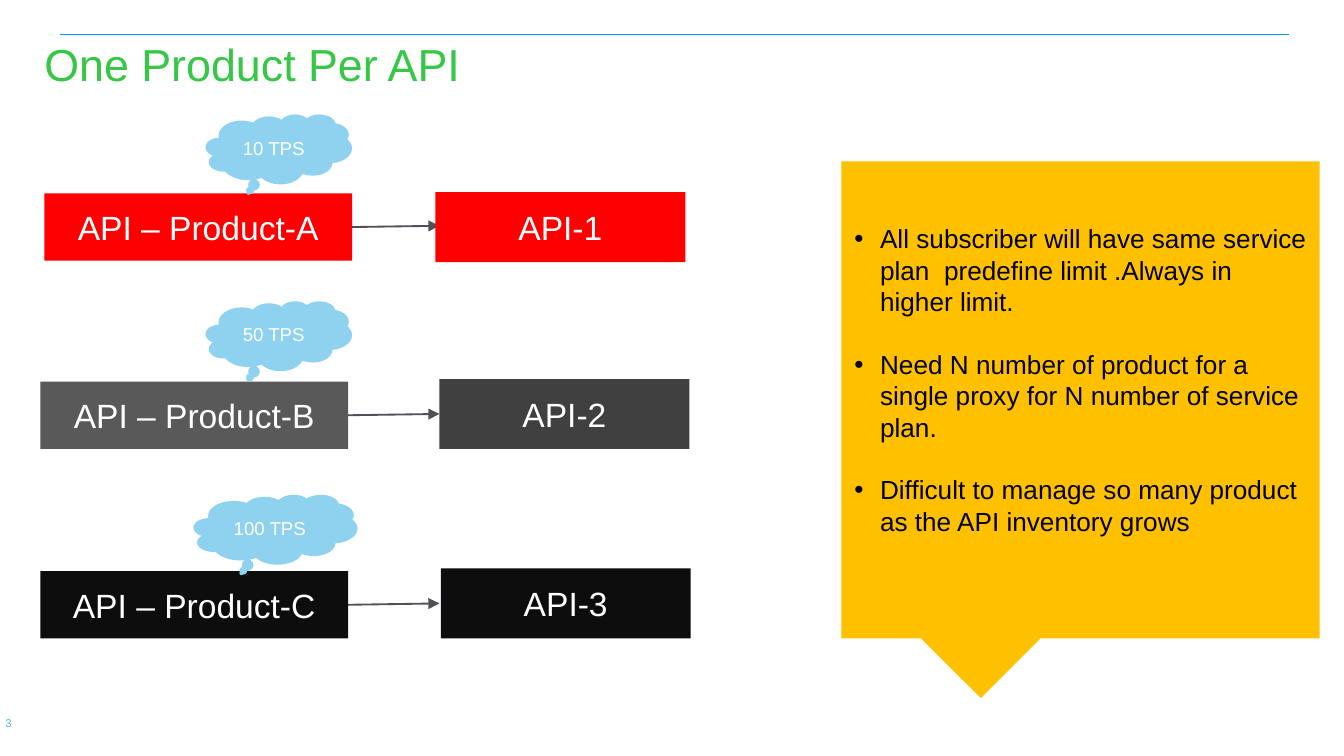
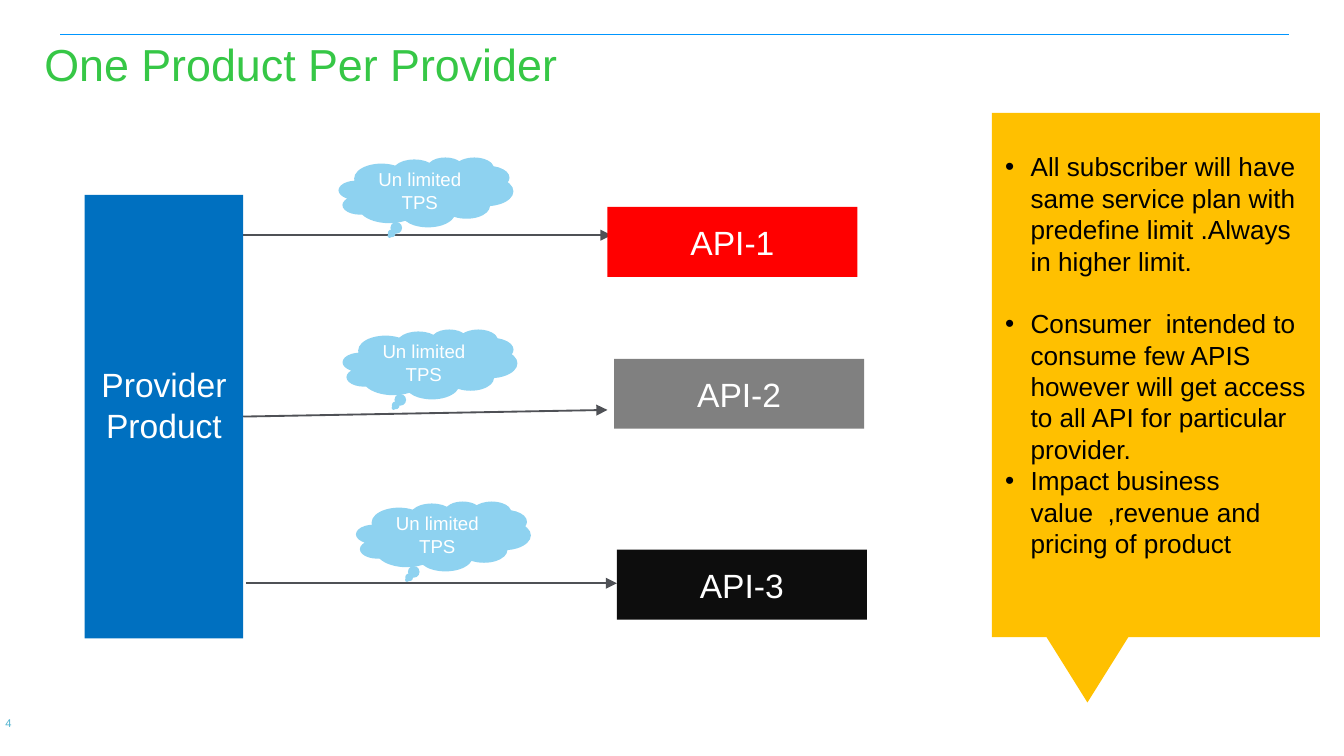
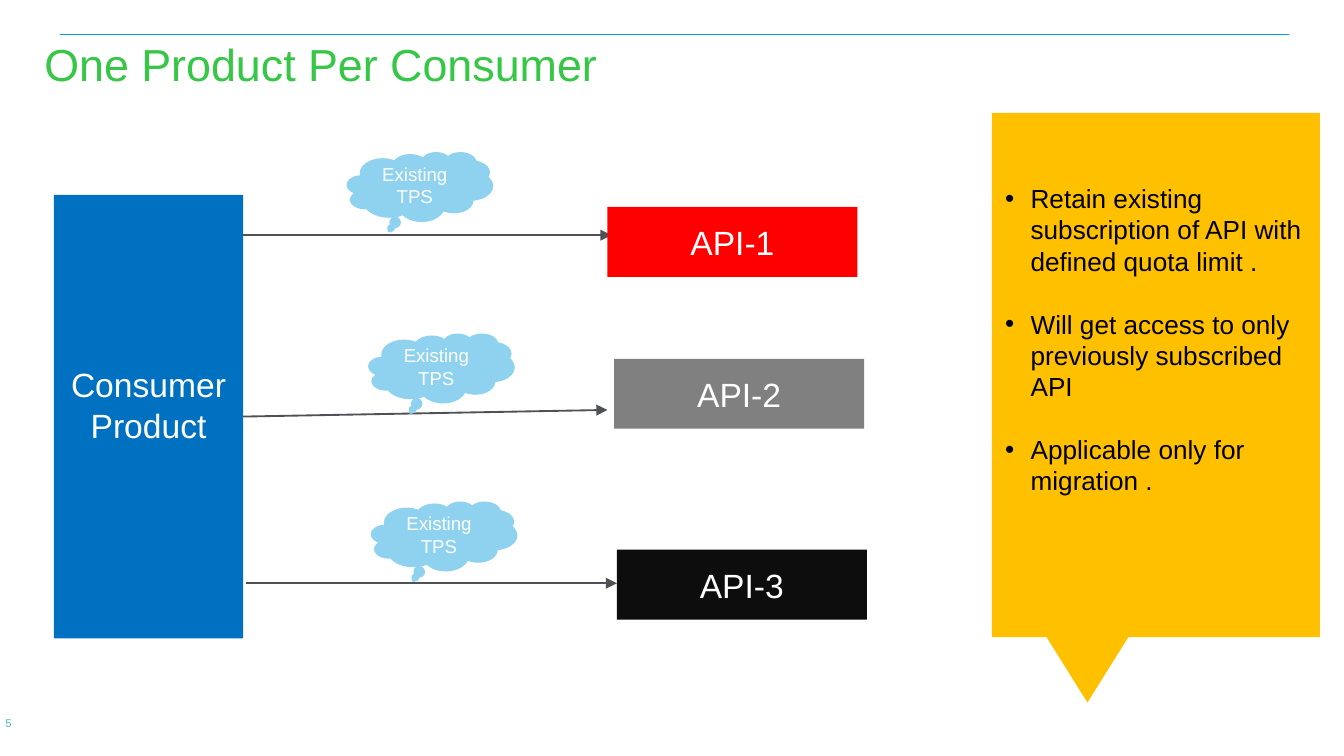
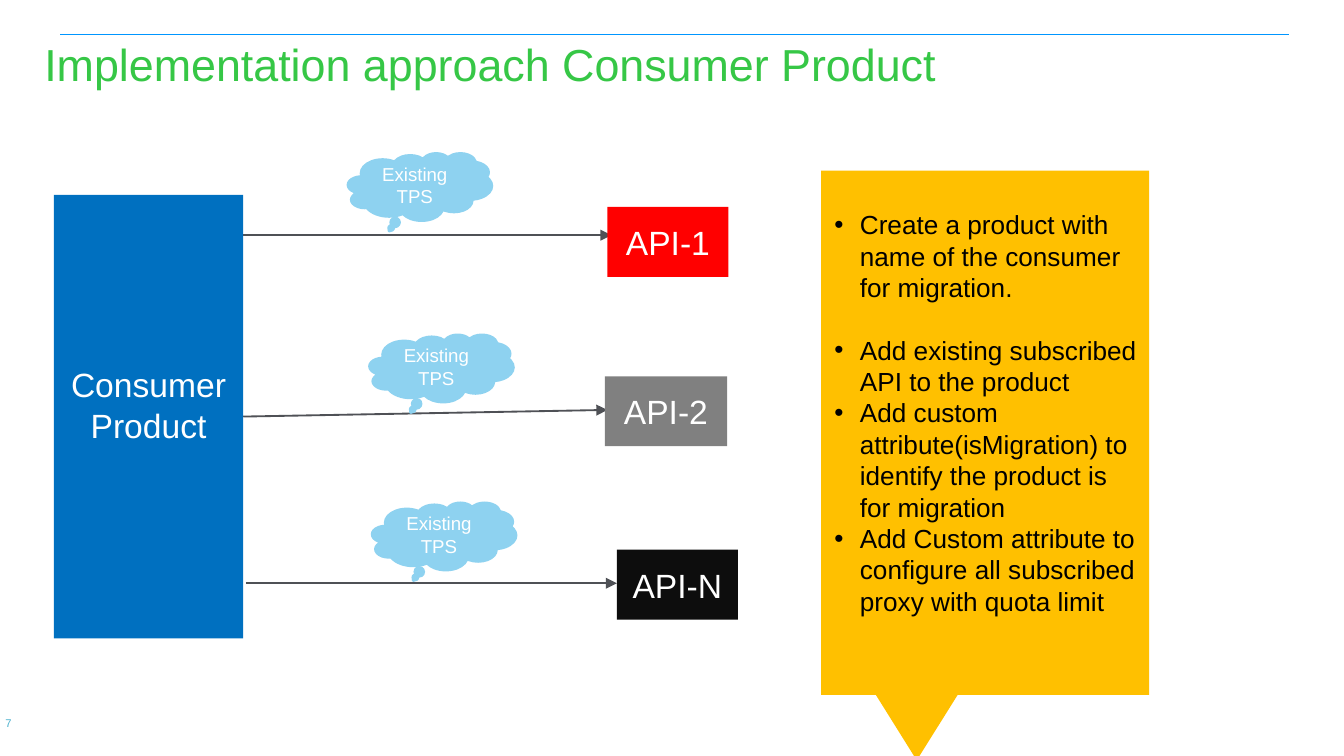
from typing import NamedTuple

from lxml import etree
from pptx import Presentation
from pptx.dml.color import RGBColor
from pptx.enum.shapes import MSO_CONNECTOR, MSO_SHAPE
from pptx.enum.text import MSO_ANCHOR, PP_ALIGN
from pptx.oxml.ns import qn
from pptx.util import Inches, Pt

RECTANGLE = MSO_SHAPE.RECTANGLE
CLOUD = MSO_SHAPE.CLOUD_CALLOUT
CALLOUT = MSO_SHAPE.RECTANGULAR_CALLOUT
STRAIGHT = MSO_CONNECTOR.STRAIGHT
TOP, MIDDLE = MSO_ANCHOR.TOP, MSO_ANCHOR.MIDDLE
LEFT, CENTER = PP_ALIGN.LEFT, PP_ALIGN.CENTER

FONT = "Arial"
WHITE, BLACK = "FFFFFF", "000000"
RULE_BLUE, TITLE_GREEN, NUMBER_BLUE = "0096FF", "36C746", "50B3CF"
RED, GRAY, NEAR_BLACK = "FF0000", "808080", "0D0D0D"
DARK_GRAY, DARKER_GRAY = "595959", "404040"
BLUE, SKY, AMBER, ARROW_GRAY = "0070C0", "8ED2F0", "FFC000", "4F5156"
BOX_HEIGHT = 0.52
NOTE_GAP = Pt(16.8)
NOTE_INDENT = Inches(0.19)


class Box(NamedTuple):
    """A region of the slide in inches."""
    left: float
    top: float
    width: float
    height: float

    def inner(self, left, top, width, height):
        """Return a box placed relative to this one."""
        return Box(self.left + left, self.top + top, width, height)

    def lengths(self):
        """Return the four sides as lengths."""
        return [Inches(side) for side in self]


def color(value):
    """Turn a hex string into a colour."""
    return RGBColor.from_string(value)


def write(shape, text, size, ink, align=LEFT, anchor=MIDDLE):
    """Put formatted text into a shape, one paragraph per line."""
    frame = shape.text_frame
    frame.text = text
    frame.word_wrap = True
    frame.vertical_anchor = anchor
    for paragraph in frame.paragraphs:
        paragraph.alignment = align
        for run in paragraph.runs:
            run.font.name = FONT
            run.font.size = Pt(size)
            run.font.color.rgb = color(ink)
    return frame


def add_filled(slide, preset, box, fill):
    """Add a flat shape without an outline."""
    shape = slide.shapes.add_shape(preset, *box.lengths())
    shape.shadow.inherit = False
    shape.fill.solid()
    shape.fill.fore_color.rgb = color(fill)
    shape.line.fill.background()
    return shape


def add_label(slide, box, text, fill):
    """Add a coloured rectangle with a large white label."""
    label = add_filled(slide, RECTANGLE, box, fill)
    return write(label, text, 18, WHITE, CENTER)


def add_cloud(slide, box, text):
    """Add a cloud that states a transaction rate."""
    write(add_filled(slide, CLOUD, box, SKY), text, 10, WHITE, CENTER)


def add_line(slide, start, end, ink, width, arrow=False):
    """Add a straight line, with an arrowhead at its end if wanted."""
    ends = [Inches(value) for value in (*start, *end)]
    line = slide.shapes.add_connector(STRAIGHT, *ends)
    line.line.color.rgb = color(ink)
    line.line.width = Pt(width)
    if arrow:
        outline = line.line._get_or_add_ln()
        etree.SubElement(outline, qn("a:tailEnd"), type="triangle")
    etree.SubElement(line._element.spPr, qn("a:effectLst"))


def add_arrow(slide, box, start, end):
    """Add an arrow between two points relative to a box."""
    start, end = [(box.left + x, box.top + y) for x, y in (start, end)]
    add_line(slide, start, end, ARROW_GRAY, 1, arrow=True)


def add_plain_text(slide, box, text, size, ink, anchor):
    """Add a text box without margins."""
    plain = slide.shapes.add_textbox(*box.lengths())
    frame = write(plain, text, size, ink, anchor=anchor)
    frame.margin_left = frame.margin_right = 0
    frame.margin_top = frame.margin_bottom = 0


def start_slide(deck, title, number):
    """Add a slide with the top rule, title and slide number."""
    slide = deck.slides.add_slide(deck.slide_layouts[6])
    add_line(slide, (0.45, 0.26), (9.59, 0.26), RULE_BLUE, 0.5)
    add_plain_text(slide, Box(0.04, 5.33, 0.59, 0.1), str(number), 6,
                   NUMBER_BLUE, MIDDLE)
    add_plain_text(slide, Box(0.33, 0.27, 9.26, 0.5), title, 24,
                   TITLE_GREEN, TOP)
    return slide


def add_notes_callout(slide, box, notes, spaced, bottom=0.35):
    """Add the amber callout, with a gap above each note index in spaced."""
    callout = add_filled(slide, CALLOUT, box, AMBER)
    frame = write(callout, "\n".join(notes), 14, BLACK)
    frame.margin_right = Inches(0.08)
    frame.margin_bottom = Inches(bottom)
    for index, paragraph in enumerate(frame.paragraphs):
        if index in spaced:
            paragraph.space_before = NOTE_GAP
        properties = paragraph._p.get_or_add_pPr()
        properties.set("marL", str(NOTE_INDENT))
        properties.set("indent", str(-NOTE_INDENT))
        etree.SubElement(properties, qn("a:buFont"), typeface=FONT)
        etree.SubElement(properties, qn("a:buChar"), char="•")


def add_product_row(slide, box, product, api, rate):
    """Add a product with its rate cloud and an arrow to its API."""
    product_name, product_fill, product_left, product_top = product
    api_name, api_fill, api_left, api_top = api
    rate_text, rate_left, rate_width = rate
    arrow_top = product_top + 0.25
    add_arrow(slide, box, (2.29, arrow_top), (2.97, arrow_top - 0.01))
    add_label(slide, box.inner(api_left, api_top, 1.86, BOX_HEIGHT),
              api_name, api_fill)
    add_label(slide, box.inner(product_left, product_top, 2.29, 0.5),
              product_name, product_fill)
    add_cloud(slide, box.inner(rate_left, 0, rate_width, BOX_HEIGHT), rate_text)


def add_fan(slide, box, product, product_width, apis, rate, rate_width, rate_places):
    """Add one product block with arrows and rate clouds to three APIs."""
    arrows = [((1.29, 0.62), (4.15, 0.62)),
              ((1.41, 1.97), (4.12, 1.92)),
              ((1.43, 3.21), (4.19, 3.21))]
    for start, end in arrows:
        add_arrow(slide, box, start, end)
    block = box.inner(1.41 - product_width, 0.32, product_width, 3.3)
    add_label(slide, block, product, BLUE).margin_bottom = Inches(0.23)
    for (name, left, top, width), fill in zip(apis, (RED, GRAY, NEAR_BLACK)):
        add_label(slide, box.inner(left, top, width, BOX_HEIGHT), name, fill)
    for left, top in rate_places:
        add_cloud(slide, box.inner(left, top, rate_width, BOX_HEIGHT), rate)


FAN = Box(0.4, 1.13, 6.05, 3.62)
SIDE_NOTES = Box(7.38, 0.84, 2.44, 3.9)
WIDE_APIS = [("API-1", 4.12, 0.41, 1.86),
             ("API-2", 4.17, 1.54, 1.86),
             ("API-3", 4.19, 2.96, 1.86)]
NARROW_APIS = [("API-1", 4.12, 0.41, 0.9),
               ("API-2", 4.1, 1.67, 0.91),
               ("API-N", 4.19, 2.96, 0.9)]
PROVIDER_RATES = [(2.12, 0.04), (2.15, 1.32), (2.25, 2.6)]
CONSUMER_RATES = [(2.18, 0), (2.34, 1.35), (2.36, 2.6)]


def build_per_api(deck):
    """Build the slide with one product for each API."""
    slide = start_slide(deck, "One Product Per API", 3)
    rows = [
        (0.85, ("API – Product-A", RED, 0.03, 0.59),
         ("API-1", RED, 2.94, 0.58), ("10 TPS", 1.23, 1.09)),
        (2.24, ("API – Product-B", DARK_GRAY, 0, 0.6),
         ("API-2", DARKER_GRAY, 2.97, 0.58), ("50 TPS", 1.23, 1.09)),
        (3.68, ("API – Product-C", NEAR_BLACK, 0, 0.57),
         ("API-3", NEAR_BLACK, 2.98, 0.55), ("100 TPS", 1.14, 1.22)),
    ]
    for top, product, api, rate in rows:
        add_product_row(slide, Box(0.3, top, 4.84, 1.1), product, api, rate)
    add_notes_callout(slide, Box(6.26, 1.2, 3.56, 3.55), [
        "All subscriber will have same service plan  predefine limit "
        ".Always in higher limit.",
        "Need N number of product for a single proxy for N number of "
        "service plan.",
        "Difficult to manage so many product as the API inventory grows",
    ], {1, 2})


def build_per_provider(deck):
    """Build the slide with one product for each provider."""
    slide = start_slide(deck, "One Product Per Provider", 4)
    add_fan(slide, FAN, "Provider Product", 1.18, WIDE_APIS,
            "Un limited TPS", 1.3, PROVIDER_RATES)
    add_notes_callout(slide, SIDE_NOTES, [
        "All subscriber will have same service plan with predefine limit "
        ".Always in higher limit.",
        "Consumer  intended to consume few APIS however will get access "
        "to all API for particular provider.",
        "Impact business value\u00a0\u00a0,revenue and pricing of product",
    ], {1})


def build_per_consumer(deck):
    """Build the slide with one product for each consumer."""
    slide = start_slide(deck, "One Product Per Consumer", 5)
    add_fan(slide, FAN, "Consumer Product", 1.41, WIDE_APIS,
            "Existing TPS", 1.09, CONSUMER_RATES)
    add_notes_callout(slide, SIDE_NOTES, [
        "Retain existing subscription of API with defined quota limit .",
        "Will get access to only previously subscribed API",
        "Applicable only for migration .",
    ], {1, 2}, bottom=0.58)


def build_implementation(deck):
    """Build the slide on implementing the consumer product."""
    slide = start_slide(deck, "Implementation approach Consumer Product", 7)
    add_fan(slide, FAN, "Consumer Product", 1.41, NARROW_APIS,
            "Existing TPS", 1.09, CONSUMER_RATES)
    add_notes_callout(slide, Box(6.11, 1.27, 2.44, 3.9), [
        "Create a product with name of the consumer for migration.",
        "Add existing subscribed API to the product",
        "Add custom attribute(isMigration) to identify the product is "
        "for migration",
        "Add Custom attribute to configure all subscribed proxy with "
        "quota limit",
    ], {1})


def main():
    """Build the deck and save it."""
    deck = Presentation()
    deck.slide_width = Inches(10)
    deck.slide_height = Inches(10) * 9 // 16
    build_per_api(deck)
    build_per_provider(deck)
    build_per_consumer(deck)
    build_implementation(deck)
    deck.save("out.pptx")


main()
